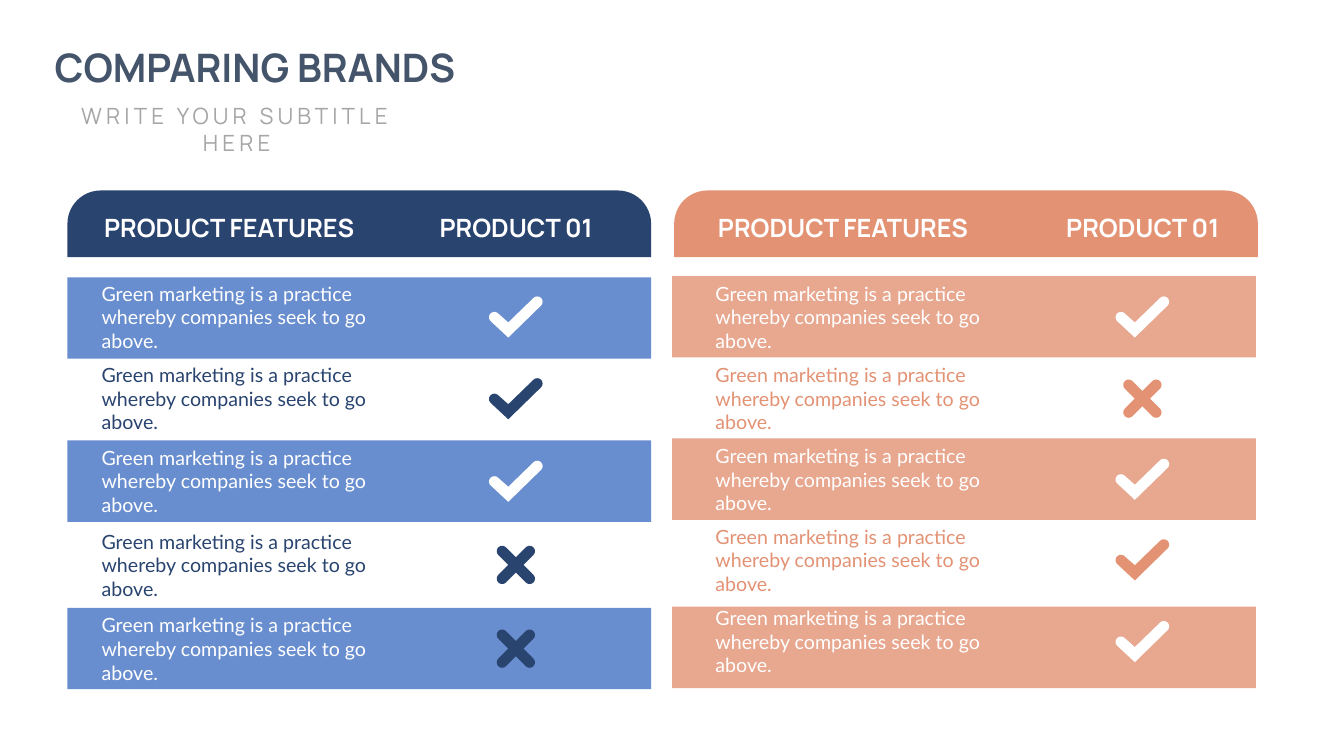
"""Build a slide that compares two products feature by feature."""
from dataclasses import dataclass
from math import cos, radians, sin, sqrt

from lxml.etree import SubElement
from pptx import Presentation
from pptx.dml.color import RGBColor
from pptx.enum.shapes import MSO_SHAPE
from pptx.enum.text import MSO_ANCHOR, MSO_AUTO_SIZE, PP_ALIGN
from pptx.oxml.ns import qn
from pptx.util import Cm, Pt

WHITE = RGBColor(0xFF, 0xFF, 0xFF)
NAVY = RGBColor(0x29, 0x44, 0x6F)
BLUE = RGBColor(0x44, 0x72, 0xC4)
CORAL = RGBColor(0xE3, 0x92, 0x74)
SLATE = RGBColor(0x44, 0x54, 0x6A)
GREY = RGBColor(0xA6, 0xA6, 0xA6)

HEADING_FONT = "Manrope"
BODY_FONT = "Lato"
FEATURE = "Green marketing is a practice whereby companies seek to go above."
PANEL_WIDTH = 14.71
ROW_HEIGHT = 2.05
TIP_RADIUS = 0.135


@dataclass(frozen=True)
class Row:
    top: float
    mark: str
    color: RGBColor
    mark_color: RGBColor
    band_top: float | None = None


@dataclass(frozen=True)
class Panel:
    header_left: float
    band_left: float
    feature_left: float
    product_left: float
    mark_center: float
    header_color: RGBColor
    band_color: RGBColor
    rows: tuple[Row, ...]


PANELS = (
    Panel(1.7, 1.7, 2.31, 10.8, 13.0, NAVY, BLUE, (
        Row(6.96, "check", WHITE, WHITE, 6.99),
        Row(9.02, "check", NAVY, NAVY),
        Row(11.1, "check", WHITE, WHITE, 11.1),
        Row(13.21, "cross", NAVY, NAVY),
        Row(15.32, "cross", WHITE, NAVY, 15.32),
    )),
    Panel(16.99, 16.94, 17.78, 26.59, 28.79, CORAL, CORAL, (
        Row(6.96, "check", WHITE, WHITE, 6.96),
        Row(9.02, "cross", CORAL, CORAL),
        Row(11.05, "check", WHITE, WHITE, 11.05),
        Row(13.08, "check", CORAL, CORAL),
        Row(15.14, "check", WHITE, WHITE, 15.29),
    )),
)


def write(holder, text: str, *, size: float, color: RGBColor, font: str = HEADING_FONT,
          bold: bool = False, align=PP_ALIGN.CENTER, anchor=MSO_ANCHOR.MIDDLE,
          wrap: bool = False, spacing: float = 0) -> None:
    """Put formatted text into a placeholder or text box."""
    frame = holder.text_frame
    frame.auto_size = MSO_AUTO_SIZE.NONE
    frame.word_wrap = wrap
    frame.vertical_anchor = anchor
    paragraph = frame.paragraphs[0]
    paragraph.alignment = align
    paragraph.space_before = Pt(0)
    paragraph.line_spacing = 1.0
    run = paragraph.add_run()
    run.text = text
    run.font.name = font
    run.font.size = Pt(size)
    run.font.bold = bold
    run.font.color.rgb = color
    if spacing:
        run.font._element.set("spc", str(round(spacing * 100)))


def place(holder, left: float, top: float, width: float, height: float) -> None:
    """Move a placeholder to a position in centimetres."""
    holder.left, holder.top = Cm(left), Cm(top)
    holder.width, holder.height = Cm(width), Cm(height)


def add_label(slide, left: float, top: float, width: float, height: float,
              text: str, **text_format) -> None:
    """Add a text box at a position in centimetres."""
    label = slide.shapes.add_textbox(Cm(left), Cm(top), Cm(width), Cm(height))
    write(label, text, **text_format)


def paint(shape, color: RGBColor, opacity: int = 100) -> None:
    """Fill a shape without line or shadow."""
    shape.shadow.inherit = False
    shape.line.fill.background()
    shape.fill.solid()
    shape.fill.fore_color.rgb = color
    if opacity < 100:
        solid = shape._element.spPr.find(qn("a:solidFill"))
        SubElement(solid[0], qn("a:alpha")).set("val", str(opacity * 1000))


def add_block(slide, kind, left: float, top: float, height: float,
              color: RGBColor, opacity: int = 100):
    """Add a preset shape as wide as a panel."""
    block = slide.shapes.add_shape(kind, Cm(left), Cm(top), Cm(PANEL_WIDTH), Cm(height))
    paint(block, color, opacity)
    return block


def round_tip(x: float, y: float, direction: int) -> list[tuple[float, float]]:
    """Trace a half circle that faces the given direction in degrees."""
    angles = [radians(direction + turn) for turn in range(-90, 91, 15)]
    return [(x + TIP_RADIUS * cos(a), y + TIP_RADIUS * sin(a)) for a in angles]


def check_outline() -> list[tuple[float, float]]:
    """Return the check mark around its centre."""
    return [(-0.19, 0.52), *round_tip(-0.54, 0.01, 225), (-0.19, 0.14),
            *round_tip(0.54, -0.38, 315)]


def cross_outline() -> list[tuple[float, float]]:
    """Return the cross around its centre."""
    points = []
    notch = TIP_RADIUS * sqrt(2)
    for turn in range(0, 360, 90):
        diagonal, axis = radians(turn + 45), radians(turn + 90)
        points += round_tip(0.49 * cos(diagonal), 0.49 * sin(diagonal), turn + 45)
        points.append((notch * cos(axis), notch * sin(axis)))
    return points


OUTLINES = {"check": check_outline(), "cross": cross_outline()}


def add_mark(slide, x: float, y: float, mark: str, color: RGBColor) -> None:
    """Draw a check or a cross centred on a point."""
    points = [(Cm(x + dx), Cm(y + dy)) for dx, dy in OUTLINES[mark]]
    builder = slide.shapes.build_freeform(*points[0])
    builder.add_line_segments(points[1:], close=True)
    paint(builder.convert_to_shape(), color)


def add_panel(slide, panel: Panel) -> None:
    """Draw one panel with its header and rows."""
    header = add_block(slide, MSO_SHAPE.ROUND_2_SAME_RECTANGLE, panel.header_left,
                       4.8, 1.68, panel.header_color)
    header.adjustments[0] = 0.5
    header.adjustments[1] = 0
    for left, width, heading in ((panel.feature_left, 6.93, "PRODUCT FEATURES"),
                                 (panel.product_left, 4.42, "PRODUCT 01")):
        add_label(slide, left, 5.23, width, 1.02, heading, size=18, color=WHITE, bold=True)
    for row in panel.rows:
        if row.band_top is not None:
            add_block(slide, MSO_SHAPE.RECTANGLE, panel.band_left, row.band_top,
                      ROW_HEIGHT, panel.band_color, opacity=80)
        add_label(slide, panel.feature_left, row.top, 7.59, ROW_HEIGHT, FEATURE, size=14,
                  color=row.color, font=BODY_FONT, align=PP_ALIGN.LEFT, wrap=True)
        add_mark(slide, panel.mark_center, row.top + ROW_HEIGHT / 2, row.mark, row.mark_color)


def main() -> None:
    """Build and save the slide."""
    deck = Presentation()
    deck.slide_width, deck.slide_height = Cm(33.87), Cm(19.05)
    slide = deck.slides.add_slide(deck.slide_layouts[0])
    title, subtitle = slide.placeholders
    place(title, 0.86, 0.97, 11.13, 1.45)
    write(title, "COMPARING BRANDS", size=28, color=SLATE, bold=True, anchor=MSO_ANCHOR.TOP)
    place(subtitle, 0.86, 2.44, 10.21, 0.94)
    write(subtitle, "WRITE YOUR SUBTITLE HERE", size=16, color=GREY,
          anchor=MSO_ANCHOR.TOP, wrap=True, spacing=3)
    for panel in PANELS:
        add_panel(slide, panel)
    deck.save("out.pptx")


if __name__ == "__main__":
    main()
